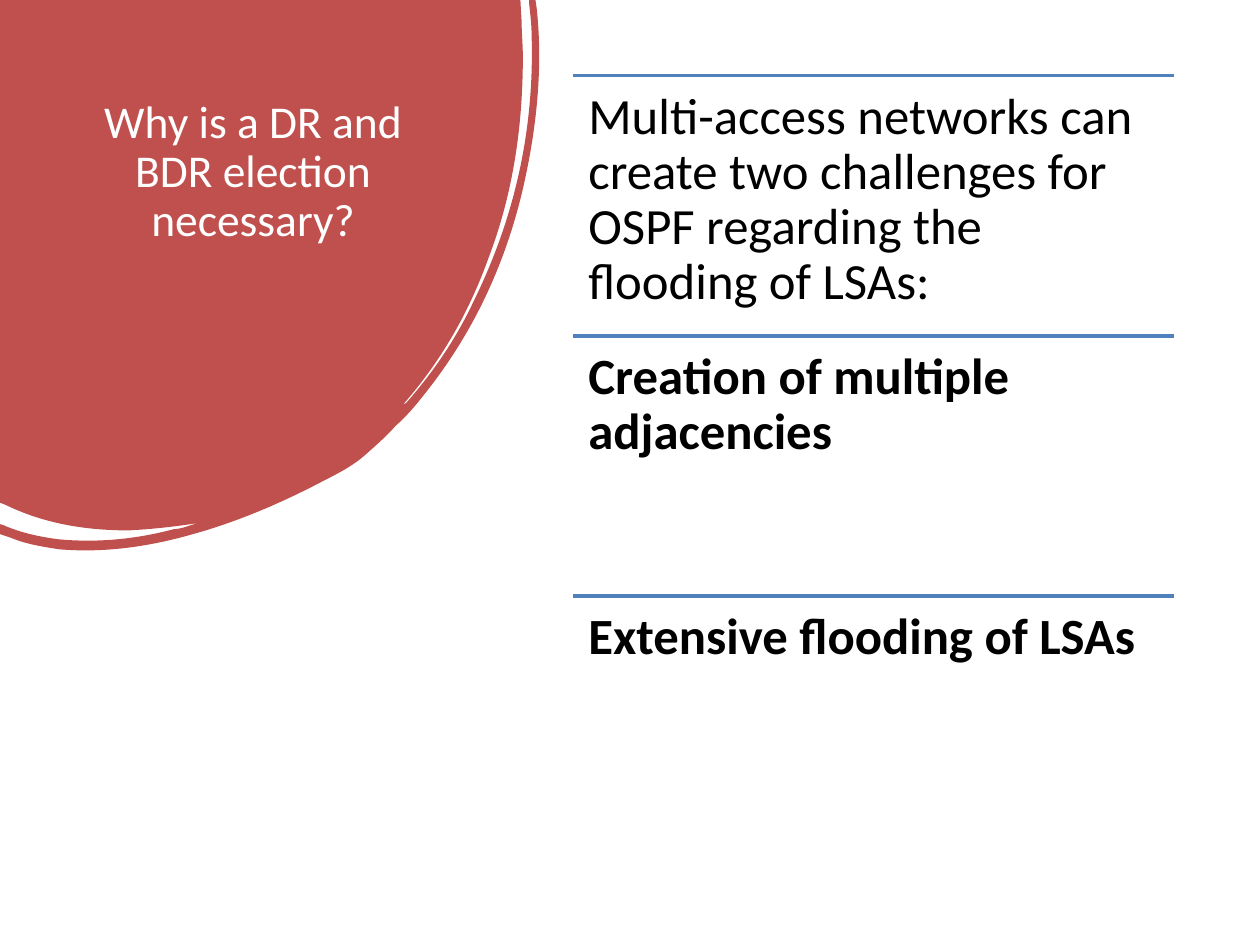
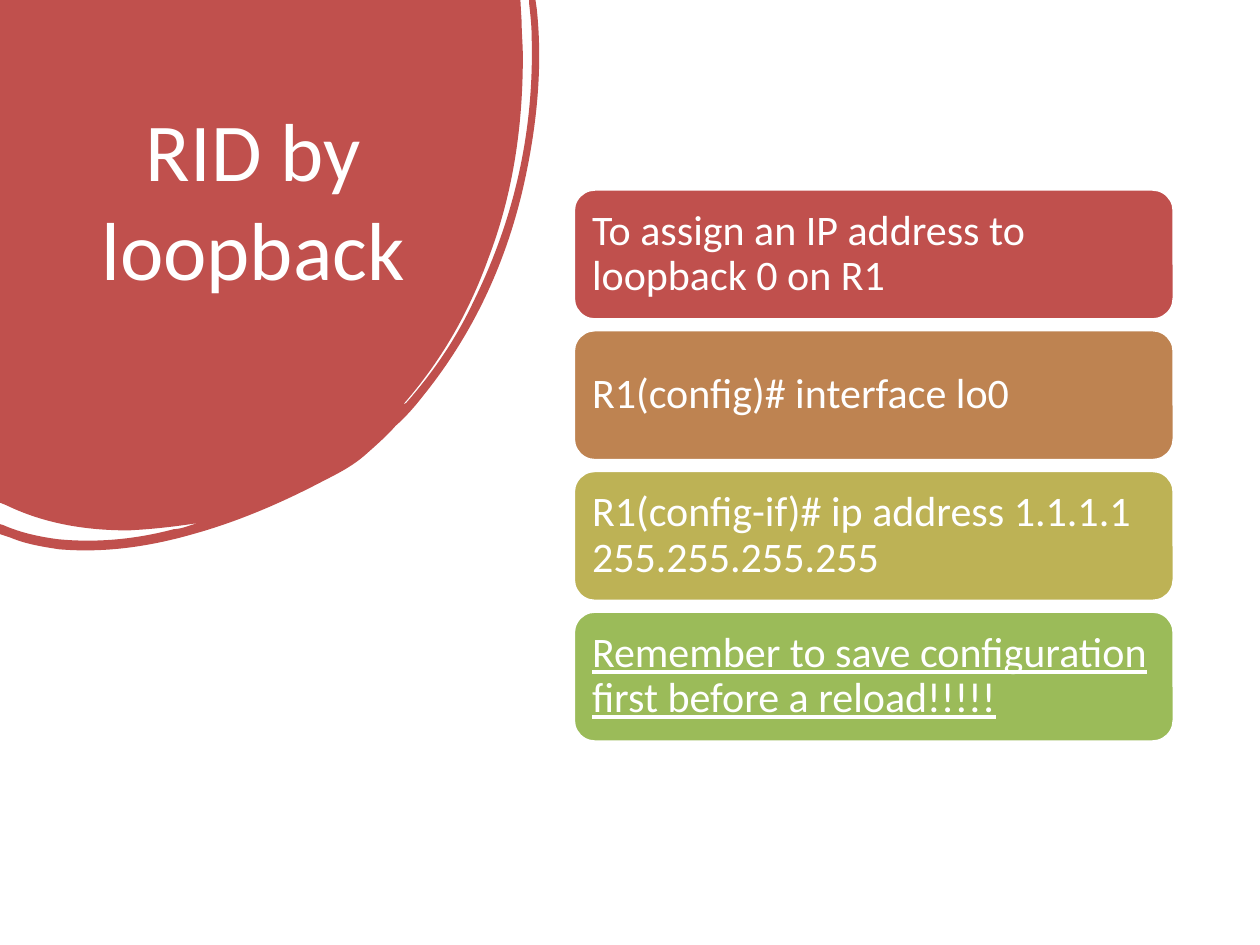
from dataclasses import dataclass

from lxml.etree import SubElement
from pptx import Presentation
from pptx.dml.color import RGBColor
from pptx.enum.shapes import MSO_CONNECTOR as Connector, MSO_SHAPE as Preset
from pptx.enum.text import MSO_ANCHOR as Anchor, PP_ALIGN as Align
from pptx.oxml.ns import qn
from pptx.util import Inches, Pt


@dataclass(frozen=True)
class Theme:
    font: str = "Calibri"
    red: str = "C0504D"
    brown: str = "BE8351"
    olive: str = "BDB255"
    green: str = "9BBB59"
    blue: str = "4F81BD"
    white: str = "FFFFFF"
    black: str = "000000"
    question_size: int = 26
    title_size: int = 47
    point_size: int = 29
    card_size: int = 24
    line_width: int = 2


theme = Theme()


def write_text(shape, text, size, color, bold=False, underline=False, align=Align.LEFT,
               anchor=Anchor.TOP, spacing=0.9, inset=0.1, inset_y=None):
    frame = shape.text_frame
    frame.word_wrap = True
    frame.vertical_anchor = anchor
    frame.margin_left = frame.margin_right = Inches(inset)
    frame.margin_top = frame.margin_bottom = Inches(inset if inset_y is None else inset_y)
    paragraph = frame.paragraphs[0]
    paragraph.alignment = align
    paragraph.line_spacing = spacing
    run = paragraph.add_run()
    run.text = text
    run.font.name = theme.font
    run.font.size = Pt(size)
    run.font.bold = bold
    run.font.underline = underline
    run.font.color.rgb = RGBColor.from_string(color)


def add_blob(slide, width, height, segments):
    builder = slide.shapes.build_freeform(0, 0, scale=Inches(0.01))
    builder.add_line_segments([(width, 0), (width, height), (0, height)], close=True)
    blob = builder.convert_to_shape()
    outline = blob.element.spPr.find(".//" + qn("a:path"))
    outline.set("w", str(width))
    outline.set("h", str(height))
    for old_step in list(outline):
        outline.remove(old_step)
    start = SubElement(outline, qn("a:moveTo"))
    SubElement(start, qn("a:pt"), x="0", y="0")
    for segment in segments:
        kind = "a:lnTo" if len(segment) == 2 else "a:cubicBezTo"
        step = SubElement(outline, qn(kind))
        for x, y in zip(segment[::2], segment[1::2]):
            SubElement(step, qn("a:pt"), x=str(x), y=str(y))
    SubElement(outline, qn("a:close"))
    blob.shadow.inherit = False
    blob.fill.solid()
    blob.fill.fore_color.rgb = RGBColor.from_string(theme.red)
    blob.line.fill.background()


presentation = Presentation()
presentation.slide_width = Inches(10)
presentation.slide_height = Inches(7.5)

column_left, column_width = 4.55, 4.77

blob_segments = [
    (413, 0), (414, 17),
    (414, 26, 415, 36, 415, 45),
    (415, 101, 407, 154, 388, 204),
    (372, 249, 349, 288, 320, 321),
    (322, 321, 323, 319, 324, 318),
    (344, 295, 362, 269, 376, 239),
    (407, 176, 424, 107, 422, 30),
    (422, 21, 421, 12, 420, 3),
    (420, 0), (425, 0), (426, 7),
    (431, 54, 426, 102, 415, 150),
    (400, 214, 373, 268, 336, 314),
    (329, 323, 322, 331, 314, 338),
    (307, 346, 299, 353, 290, 361),
    (281, 369, 270, 375, 258, 381),
    (224, 399, 189, 414, 153, 424),
    (118, 434, 83, 439, 47, 436),
    (34, 434, 21, 432, 9, 427),
    (0, 424), (0, 416), (3, 417),
    (17, 423, 31, 426, 46, 428),
    (77, 431, 108, 428, 138, 420),
    (141, 420, 145, 419, 148, 418),
    (151, 417, 154, 416, 158, 415),
    (139, 418, 121, 420, 102, 421),
    (69, 421, 36, 416, 5, 401),
    (0, 399),
]

titles = [
    ("Why is a DR and BDR election necessary?", theme.question_size, 0.9),
    ("RID by loopback", theme.title_size, 1.0),
]
slides = []
for title, size, spacing in titles:
    slide = presentation.slides.add_slide(presentation.slide_layouts[6])
    add_blob(slide, 428, 437, blob_segments)
    title_box = slide.shapes.add_textbox(Inches(0.69), Inches(0.74), Inches(2.64), Inches(2.22))
    write_text(title_box, title, size, theme.white, align=Align.CENTER, spacing=spacing,
               inset_y=0.05)
    slides.append(slide)

election_slide, loopback_slide = slides

challenges = [
    ("Multi-access networks can create two challenges for OSPF regarding the flooding of LSAs:",
     False),
    ("Creation of multiple adjacencies", True),
    ("Extensive flooding of LSAs", True),
]
row_height = 4.13 / (len(challenges) - 1)
for row, (text, bold) in enumerate(challenges):
    left, top = Inches(column_left), Inches(0.6 + row * row_height)
    width = Inches(column_width)
    rule = election_slide.shapes.add_connector(Connector.STRAIGHT, left, top, left + width, top)
    rule.line.color.rgb = RGBColor.from_string(theme.blue)
    rule.line.width = Pt(theme.line_width)
    SubElement(rule.element.spPr, qn("a:effectLst"))
    point_box = election_slide.shapes.add_textbox(left, top, width, Inches(row_height))
    write_text(point_box, text, theme.point_size, theme.black, bold=bold, inset=0.12)

cards = [
    ("To assign an IP address to loopback 0 on R1", theme.red, False),
    ("R1(config)# interface lo0", theme.brown, False),
    ("R1(config-if)# ip address 1.1.1.1 255.255.255.255", theme.olive, False),
    ("Remember to save configuration first before a reload!!!!!", theme.green, True),
]
card_pitch = 3.35 / (len(cards) - 1)
for row, (text, fill, underline) in enumerate(cards):
    card = loopback_slide.shapes.add_shape(
        Preset.ROUNDED_RECTANGLE, Inches(column_left), Inches(1.5 + row * card_pitch),
        Inches(column_width), Inches(1.04))
    card.shadow.inherit = False
    card.fill.solid()
    card.fill.fore_color.rgb = RGBColor.from_string(fill)
    card.line.color.rgb = RGBColor.from_string(theme.white)
    card.line.width = Pt(theme.line_width)
    write_text(card, text, theme.card_size, theme.white, underline=underline,
               anchor=Anchor.MIDDLE)

presentation.save("out.pptx")
